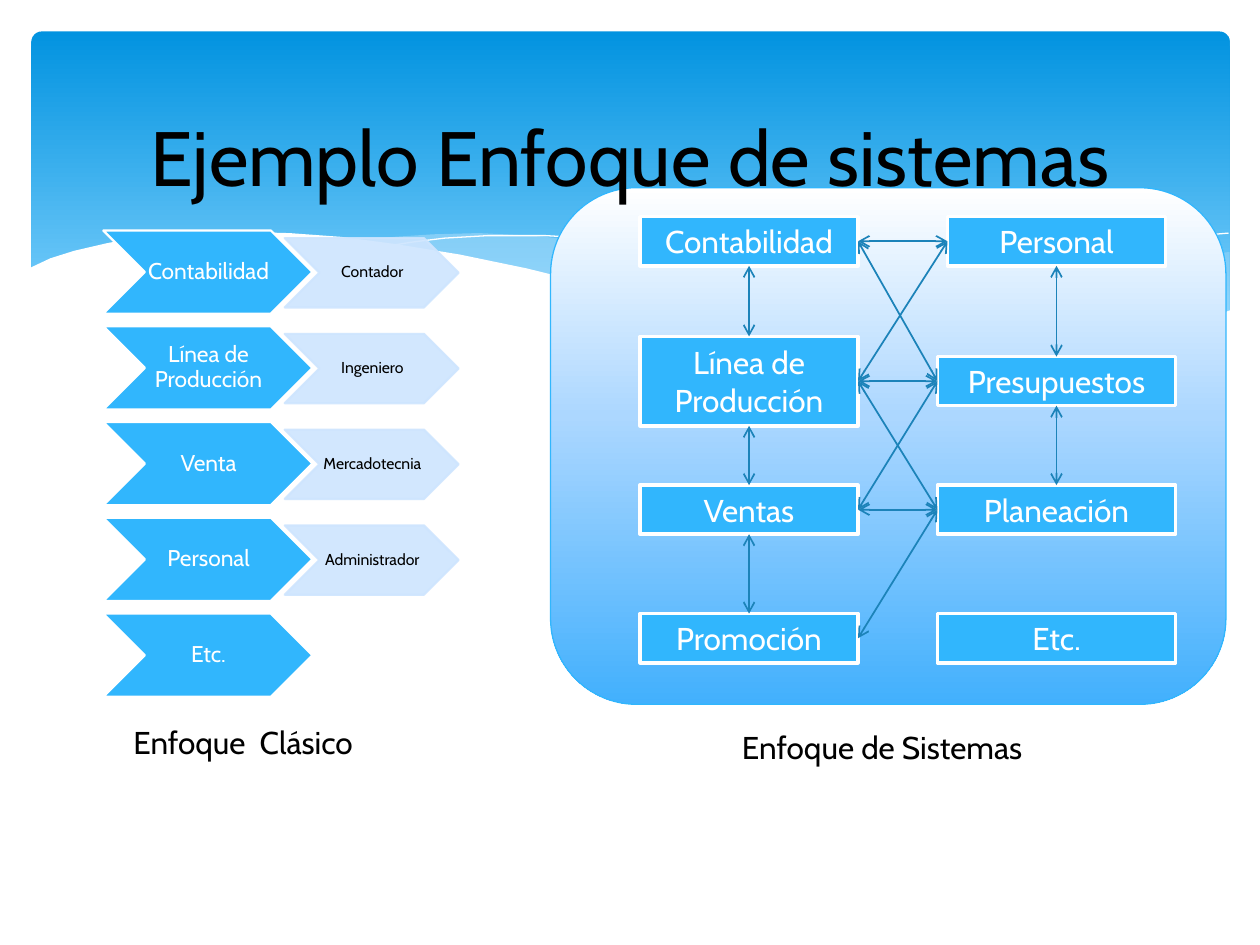
from copy import deepcopy
from dataclasses import dataclass

from lxml.etree import SubElement
from pptx import Presentation
from pptx.dml.color import RGBColor
from pptx.enum.shapes import MSO_CONNECTOR, MSO_SHAPE
from pptx.enum.text import MSO_ANCHOR, PP_ALIGN
from pptx.oxml.ns import qn
from pptx.util import Inches, Pt

COLORS = {
    "blue": "31B6FD", "pale": "CEE5FE", "arrow": "1C83B9", "white": "FFFFFF",
    "black": "000000", "mist": "C6E7FC", "sky_top": "0293E0", "sky_bottom": "83D3FE",
    "panel_middle": "ACD7FF", "panel_bottom": "42B0FD",
}
TOP, LEFT, BOTTOM, RIGHT = range(4)


@dataclass
class Box:
    text: str
    left: float
    top: float
    width: float
    height: float = 0.39


@dataclass
class Link:
    start: str
    start_side: int
    end: str
    end_side: int


@dataclass
class Wave:
    points: list[tuple[float, float]]
    fill: str | None = None
    opacity: int = 100


@dataclass
class Step:
    area: str
    role: str | None = None


WAVES = [
    Wave([(9.75, 2), (9.48, 2.04), (9.21, 2.1), (8.61, 2.23), (8.05, 2.37), (7.53, 2.48),
          (7.06, 2.57), (6.61, 2.65), (6.91, 2.69), (7.19, 2.72), (7.57, 2.76), (8.03, 2.78),
          (8.44, 2.77), (8.81, 2.73), (9.13, 2.67), (9.42, 2.59), (9.76, 2.47), (9.76, 2)],
         "mist", 29),
    Wave([(8.93, 2.73), (8.37, 2.65), (7.75, 2.54), (7.06, 2.4), (6.29, 2.22), (5.84, 2.11),
          (5.41, 2.03), (5.02, 1.96), (4.65, 1.91), (4.2, 1.87), (3.8, 1.85), (3.44, 1.86),
          (3.13, 1.88), (2.86, 1.91), (3.23, 1.96), (3.62, 2.03), (4.04, 2.11), (4.49, 2.22),
          (4.91, 2.32), (5.3, 2.4), (5.84, 2.52), (6.34, 2.61), (6.8, 2.68), (7.22, 2.74),
          (7.61, 2.77), (8.07, 2.78), (8.48, 2.77)], "mist", 40),
    Wave([(3.09, 1.95), (3.28, 1.92), (3.53, 1.89), (3.87, 1.87), (4.33, 1.87), (4.69, 1.89),
          (5.1, 1.92), (5.56, 1.97), (6.08, 2.04), (6.65, 2.13), (7.27, 2.26), (7.95, 2.41),
          (8.31, 2.51), (9.07, 2.72)]),
    Wave([(6.13, 2.57), (6.53, 2.46), (6.95, 2.35), (7.48, 2.23), (8.06, 2.1), (8.66, 1.99),
          (9.1, 1.92), (9.51, 1.87), (9.75, 1.85)]),
    Wave([(9.77, 2.46), (9.5, 2.56), (9.2, 2.65), (8.87, 2.71), (8.5, 2.75), (8.09, 2.77),
          (7.61, 2.75), (7.08, 2.7), (6.48, 2.62), (5.79, 2.5), (5.29, 2.39), (4.75, 2.27),
          (4.18, 2.13), (3.65, 2.02), (3.16, 1.94), (2.71, 1.88), (2.3, 1.85), (1.93, 1.84),
          (1.61, 1.84), (1.32, 1.86), (1.06, 1.89), (0.85, 1.93), (0.59, 1.99), (0.4, 2.05),
          (0.23, 2.13), (0.23, 3.29), (9.77, 3.29)], "white"),
]
BOXES = [
    Box("Contabilidad", 5.08, 1.72, 1.73),
    Box("Línea de\nProducción", 5.08, 2.67, 1.73, 0.71),
    Box("Ventas", 5.08, 3.85, 1.73),
    Box("Promoción", 5.08, 4.87, 1.73),
    Box("Personal", 7.52, 1.72, 1.73),
    Box("Presupuestos", 7.44, 2.83, 1.89),
    Box("Planeación", 7.44, 3.85, 1.89),
    Box("Etc.", 7.44, 4.87, 1.89),
]
LINKS = [Link(upper, BOTTOM, lower, TOP) for upper, lower in (
    ("Contabilidad", "Línea de\nProducción"), ("Línea de\nProducción", "Ventas"),
    ("Ventas", "Promoción"), ("Personal", "Presupuestos"), ("Presupuestos", "Planeación"),
)] + [Link(start, RIGHT, end, LEFT) for start, end in (
    ("Contabilidad", "Personal"), ("Contabilidad", "Presupuestos"),
    ("Línea de\nProducción", "Personal"), ("Línea de\nProducción", "Presupuestos"),
    ("Línea de\nProducción", "Planeación"), ("Ventas", "Presupuestos"),
    ("Ventas", "Planeación"), ("Promoción", "Planeación"),
)]
STEPS = [
    Step("Contabilidad", "Contador"), Step("Línea de Producción", "Ingeniero"),
    Step("Venta", "Mercadotecnia"), Step("Personal", "Administrador"), Step("Etc."),
]


def color(name: str) -> RGBColor:
    return RGBColor.from_string(COLORS[name])


def write_text(shape, text: str, *, size: float, ink: str = "white", align=PP_ALIGN.CENTER,
               anchor=MSO_ANCHOR.MIDDLE, spacing: float = 1, before: float = 0,
               inset: float | None = None) -> None:
    frame = shape.text_frame
    frame.word_wrap = True
    frame.vertical_anchor = anchor
    if inset is not None:
        frame.margin_left = frame.margin_top = frame.margin_bottom = Inches(inset)
        frame.margin_right = 0
    for index, line in enumerate(text.split("\n")):
        paragraph = frame.add_paragraph() if index else frame.paragraphs[0]
        paragraph.alignment = align
        paragraph.line_spacing = spacing
        paragraph.space_before = Pt(before)
        run = paragraph.add_run()
        run.text = line
        run.font.size = Pt(size)
        run.font.name = "Cabin"
        run.font.color.rgb = color(ink)


def set_opacity(shape, percent: int) -> None:
    for element in shape._element.spPr.iter(qn("a:srgbClr")):
        SubElement(element, qn("a:alpha"), val=str(percent * 1000))


def set_style(shape, fill: str | None, line: str | None = None, width: float = 0) -> None:
    shape.shadow.inherit = False
    if fill:
        shape.fill.solid()
        shape.fill.fore_color.rgb = color(fill)
    else:
        shape.fill.background()
    if line:
        shape.line.color.rgb = color(line)
        shape.line.width = Pt(width)
    else:
        shape.line.fill.background()


def set_gradient(shape, stops: list[tuple[float, str]]) -> None:
    shape.fill.gradient()
    shape.fill.gradient_angle = 270
    stop_list = next(shape._element.spPr.iter(qn("a:gsLst")))
    while len(stop_list) < len(stops):
        stop_list.append(deepcopy(stop_list[0]))
    for stop, (position, name) in zip(shape.fill.gradient_stops, stops):
        stop.position = position
        stop.color.rgb = color(name)


def add_preset(slide, kind, left: float, top: float, width: float, height: float):
    return slide.shapes.add_shape(kind, Inches(left), Inches(top), Inches(width), Inches(height))


def add_text(slide, text: str, left: float, top: float, width: float, height: float,
             **text_format) -> None:
    shape = slide.shapes.add_textbox(Inches(left), Inches(top), Inches(width), Inches(height))
    write_text(shape, text, ink="black", **text_format)


def add_wave(slide, wave: Wave) -> None:
    points = [(Inches(x), Inches(y)) for x, y in wave.points]
    builder = slide.shapes.build_freeform(*points[0])
    builder.add_line_segments(points[1:], close=wave.fill is not None)
    shape = builder.convert_to_shape()
    set_style(shape, wave.fill, None if wave.fill else "white")
    if wave.opacity < 100:
        set_opacity(shape, wave.opacity)


def add_box(slide, box: Box):
    shape = add_preset(slide, MSO_SHAPE.RECTANGLE, box.left, box.top, box.width, box.height)
    set_style(shape, "blue", "white", 2)
    write_text(shape, box.text, size=18)
    return shape


def add_link(slide, link: Link, shapes: dict) -> None:
    connector = slide.shapes.add_connector(MSO_CONNECTOR.STRAIGHT, 0, 0, 0, 0)
    connector.begin_connect(shapes[link.start], link.start_side)
    connector.end_connect(shapes[link.end], link.end_side)
    connector.line.color.rgb = color("arrow")
    connector.line.width = Pt(1)
    line = connector.line._get_or_add_ln()
    for end in ("a:headEnd", "a:tailEnd"):
        SubElement(line, qn(end), type="arrow")
    SubElement(connector._element.spPr, qn("a:effectLst"))


def add_step(slide, step: Step, top: float) -> None:
    area = add_preset(slide, MSO_SHAPE.CHEVRON, 0.82, top, 1.66, 0.66)
    set_style(area, "blue", "white", 1.25)
    write_text(area, step.area, size=13, spacing=0.9, inset=0.01)
    if step.role:
        role = add_preset(slide, MSO_SHAPE.CHEVRON, 2.26, top + 0.06, 1.38, 0.55)
        set_style(role, "pale", "pale", 1.25)
        set_opacity(role, 90)
        write_text(role, step.role, size=9, ink="black", spacing=0.9, inset=0.01)


def main() -> None:
    """Build the slide comparing the classic and the systems approach."""
    presentation = Presentation()
    presentation.slide_width, presentation.slide_height = Inches(10), Inches(7.5)
    slide = presentation.slides.add_slide(presentation.slide_layouts[6])
    sky = add_preset(slide, MSO_SHAPE.ROUNDED_RECTANGLE, 0.25, 0.25, 9.51, 2.7)
    sky.adjustments[0] = 0.03
    set_style(sky, None)
    set_gradient(sky, [(0, "sky_top"), (0.9, "sky_bottom")])
    for wave in WAVES:
        add_wave(slide, wave)
    panel = add_preset(slide, MSO_SHAPE.ROUNDED_RECTANGLE, 4.37, 1.49, 5.36, 4.1)
    set_style(panel, None, "blue", 0.75)
    set_gradient(panel, [(0, "white"), (0.44, "panel_middle"), (1, "panel_bottom")])
    shapes = {box.text: add_box(slide, box) for box in BOXES}
    for link in LINKS:
        add_link(slide, link, shapes)
    for index, step in enumerate(STEPS):
        add_step(slide, step, 1.83 + 0.76 * index)
    for text, left, top in (("Enfoque de Sistemas", 5.79, 5.73), ("Enfoque  Clásico", 0.96, 5.69)):
        add_text(slide, text, left, top, 2.68, 0.4, size=18, align=PP_ALIGN.LEFT,
                 anchor=MSO_ANCHOR.TOP)
    add_text(slide, "Ejemplo Enfoque de sistemas", 0.5, 0.37, 9, 1.37, size=44, spacing=1.5,
             before=7)
    presentation.save("out.pptx")


if __name__ == "__main__":
    main()
